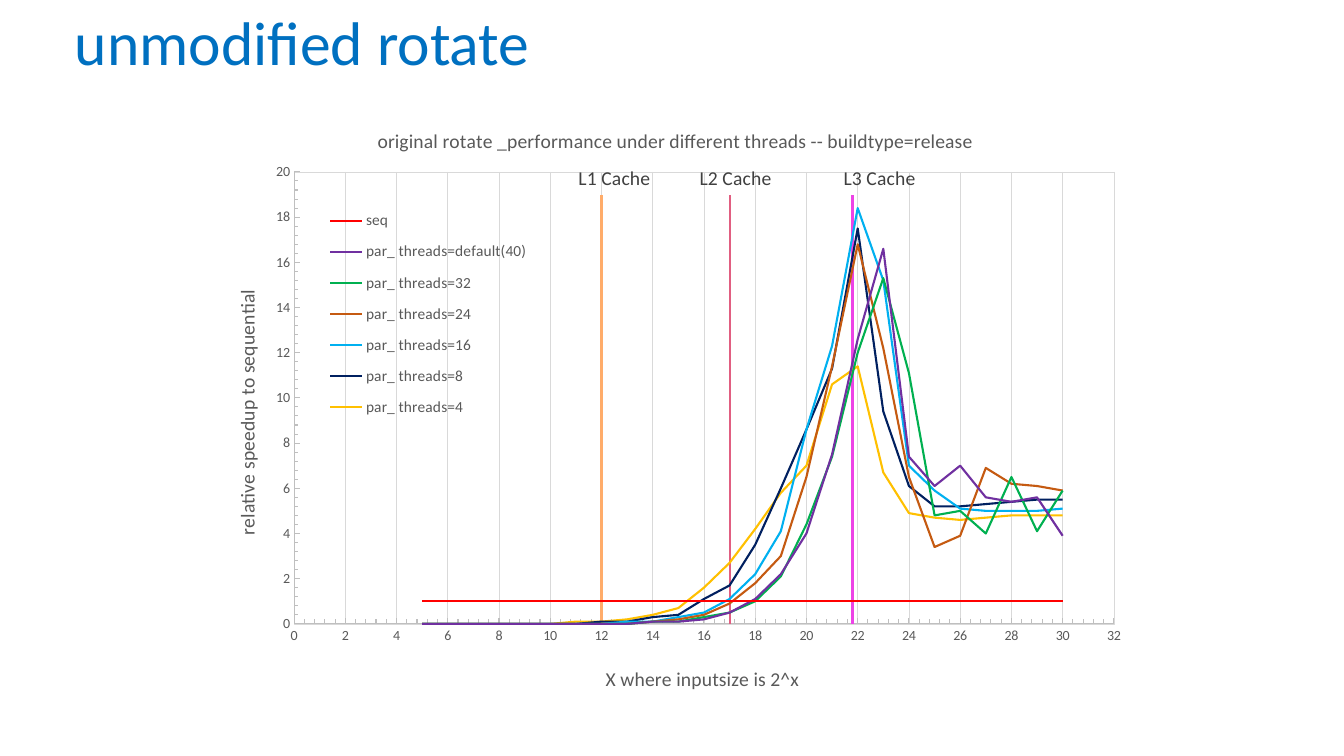
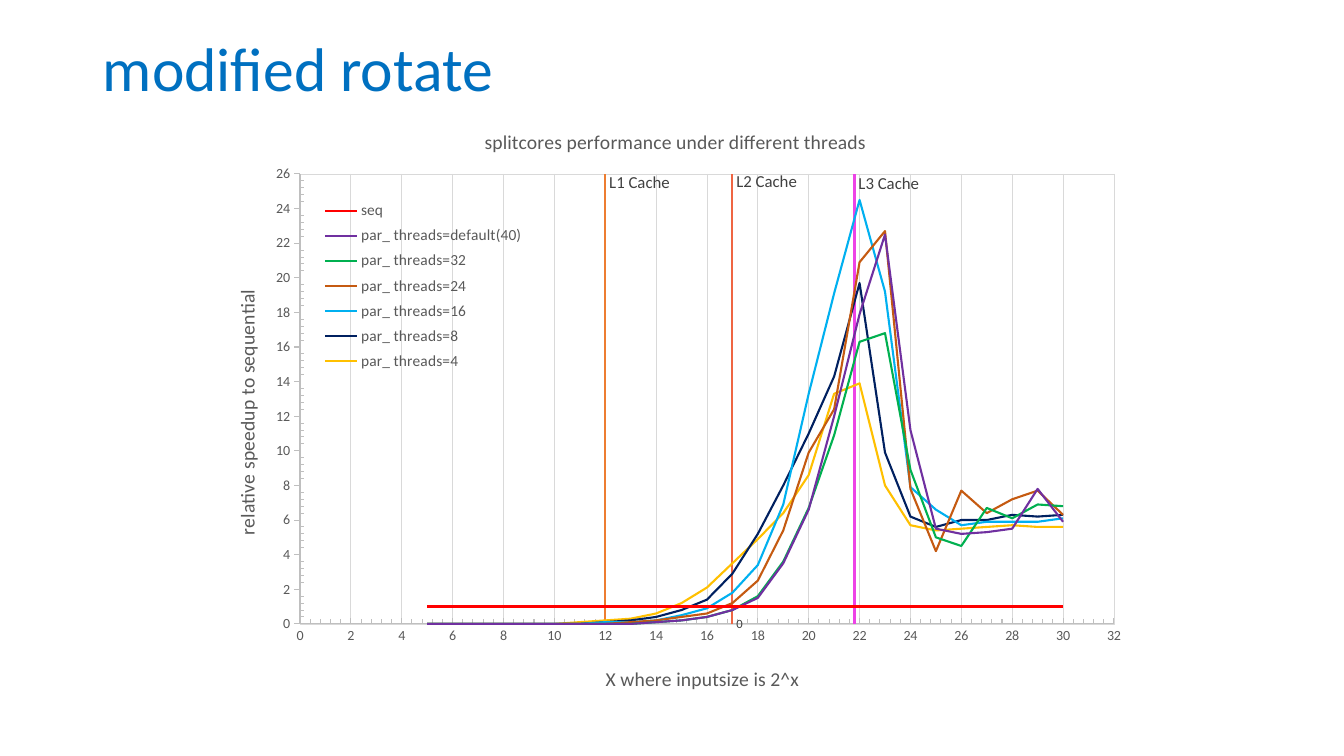
from lxml import etree
from pptx import Presentation
from pptx.chart.data import XyChartData
from pptx.dml.color import RGBColor
from pptx.enum.chart import XL_CHART_TYPE, XL_LABEL_POSITION, XL_LEGEND_POSITION, XL_TICK_MARK
from pptx.enum.text import MSO_ANCHOR
from pptx.oxml import parse_xml
from pptx.oxml.ns import nsdecls, qn
from pptx.util import Emu, Pt

SCATTER = XL_CHART_TYPE.XY_SCATTER_LINES_NO_MARKERS
ABOVE, RIGHT = XL_LABEL_POSITION.ABOVE, XL_LABEL_POSITION.RIGHT
LEGEND_LEFT = XL_LEGEND_POSITION.LEFT
INSIDE, OUTSIDE = XL_TICK_MARK.INSIDE, XL_TICK_MARK.OUTSIDE
MIDDLE = MSO_ANCHOR.MIDDLE

FONT = "Calibri"
COLORS = {
    "title": "0070C0", "text": "595959", "label": "404040",
    "axis": "BFBFBF", "grid": "D9D9D9",
    "seq": "FF0000", "par_ threads=default(40)": "7030A0",
    "par_ threads=32": "00B050", "par_ threads=24": "C55A11",
    "par_ threads=16": "00B0F0", "par_ threads=8": "002060",
    "par_ threads=4": "FFC000",
}

# Lengths are pixels, 100.8 to the inch
SCALE = 914400 / 100.8
SLIDE = (1344, 756)
CHART = (204, 101, 935, 608)
TITLE_SIZE = (1159, 92)

INPUT_SIZES = range(5, 31)
CACHES = [("L1 Cache", 12), ("L2 Cache", 17), ("L3 Cache", 21.8)]

# Speedups start with zeros, which are filled in from the left
UNMODIFIED = {
    "par_ threads=default(40)": [0.1, 0.1, 0.2, 0.5, 1.1, 2.2, 4, 7.5, 12.6, 16.6,
                                 7.4, 6.1, 7, 5.6, 5.4, 5.6, 3.9],
    "par_ threads=32": [0.1, 0.1, 0.3, 0.5, 1, 2.1, 4.4, 7.4, 12, 15.3,
                        11.1, 4.8, 5, 4, 6.5, 4.1, 5.9],
    "par_ threads=24": [0.1, 0.2, 0.4, 0.9, 1.8, 3, 6.5, 11.4, 16.8, 12.2,
                        6.5, 3.4, 3.9, 6.9, 6.2, 6.1, 5.9],
    "par_ threads=16": [0.1, 0.1, 0.3, 0.5, 1.1, 2.2, 4.1, 8.6, 12.3, 18.4, 15.2,
                        7, 5.9, 5.1, 5, 5, 5, 5.1],
    "par_ threads=8": [0.1, 0.1, 0.3, 0.4, 1.1, 1.7, 3.5, 6, 8.6, 11.3, 17.5, 9.4,
                       6.1, 5.2, 5.2, 5.3, 5.4, 5.5, 5.5],
    "par_ threads=4": [0.1, 0.1, 0.2, 0.4, 0.7, 1.6, 2.7, 4.2, 5.8, 7, 10.6, 11.4, 6.7,
                       4.9, 4.7, 4.6, 4.7, 4.8, 4.8, 4.8],
}
MODIFIED = {
    "par_ threads=default(40)": [0.1, 0.2, 0.4, 0.8, 1.5, 3.5, 6.6, 12, 17.9, 22.5,
                                 11.2, 5.5, 5.2, 5.3, 5.5, 7.8, 5.9],
    "par_ threads=32": [0.1, 0.2, 0.4, 0.8, 1.6, 3.6, 6.7, 10.9, 16.3, 16.8,
                        8.9, 5, 4.5, 6.7, 6.1, 6.9, 6.8],
    "par_ threads=24": [0.1, 0.2, 0.4, 0.6, 1.2, 2.5, 5.4, 9.9, 12.4, 20.9, 22.7,
                        7.8, 4.2, 7.7, 6.4, 7.2, 7.7, 6.3],
    "par_ threads=16": [0.1, 0.1, 0.2, 0.5, 0.9, 1.8, 3.4, 6.9, 13.3, 19.1, 24.5, 19.2,
                        7.9, 6.6, 5.7, 5.9, 5.9, 5.9, 6.1],
    "par_ threads=8": [0.1, 0.2, 0.4, 0.8, 1.4, 2.9, 5.2, 8, 11, 14.3, 19.7, 9.9,
                       6.2, 5.6, 6, 6, 6.3, 6.2, 6.3],
    "par_ threads=4": [0.1, 0.2, 0.3, 0.6, 1.2, 2.1, 3.5, 4.9, 6.4, 8.6, 13.3, 13.9, 8,
                       5.7, 5.4, 5.5, 5.6, 5.7, 5.6, 5.6],
}


def px(n):
    return Emu(round(n * SCALE))


def rgb(name):
    return RGBColor.from_string(COLORS.get(name, name))


def style_font(font, size, color):
    font.name, font.size, font.bold = FONT, Pt(size), False
    font.color.rgb = rgb(color)


def style_line(line, color, width):
    line.color.rgb = rgb(color)
    line.width = Pt(width)


def write(tf, text, size=14, color="text", spacing=None):
    p = tf.paragraphs[0]
    if spacing:
        p.line_spacing = spacing
    r = p.add_run()
    r.text = text
    style_font(r.font, size, color)


def add_title(s, text, left, top):
    tf = s.shapes.add_textbox(px(left), px(top), *map(px, TITLE_SIZE)).text_frame
    tf.word_wrap = True
    tf.vertical_anchor = MIDDLE
    write(tf, text, size=44, color="title", spacing=0.9)


# Manual layout of chart parts, as fractions of the chart
def set_layout(parent, index, inner=False, edge=True, **lengths):
    for old in parent.findall(qn("c:layout")):
        parent.remove(old)
    layout = parse_xml(f"<c:layout {nsdecls('c')}><c:manualLayout/></c:layout>")
    manual = layout[0]

    def add(tag, val):
        etree.SubElement(manual, qn(f"c:{tag}")).set("val", str(val))

    if inner:
        add("layoutTarget", "inner")
    if edge:
        add("xMode", "edge")
        add("yMode", "edge")
    left, top, width, height = CHART
    starts = {"x": left, "y": top} if edge else {}
    totals = {"x": width, "y": height, "w": width, "h": height}
    for key, n in lengths.items():
        add(key, round((n - starts.get(key, 0)) / totals[key], 4))
    parent.insert(index, layout)


def set_chart_title(owner, text, left, top, vertical=False):
    owner.has_title = True
    title = owner.chart_title if hasattr(owner, "chart_title") else owner.axis_title
    tf = title.text_frame
    write(tf, text)
    if vertical:
        body = title._element.find(".//" + qn("a:bodyPr"))
        body.set("rot", "-5400000")
        body.set("vert", "horz")
    set_layout(title._element, 1, x=left, y=top)


def style_axis(axis, top, tick):
    axis.minimum_scale, axis.maximum_scale, axis.major_unit = 0, top, 2
    axis.major_tick_mark, axis.minor_tick_mark = tick, INSIDE
    style_font(axis.tick_labels.font, 10, "text")
    style_line(axis.format.line, "axis", 0.75)


def add_legend(chart, box):
    chart.has_legend = True
    legend = chart.legend
    legend.position = LEGEND_LEFT
    legend.include_in_layout = True
    style_font(legend.font, 11, "text")
    left, top, width, height = box
    el = legend._element
    set_layout(el, 1, x=left, y=top, w=width, h=height)
    # Cache lines stay out of the legend
    series_count = len(chart.plots[0].series)
    for n, i in enumerate(range(series_count - len(CACHES), series_count)):
        el.insert(1 + n, parse_xml(
            f"<c:legendEntry {nsdecls('c')}><c:idx val='{i}'/><c:delete val='1'/></c:legendEntry>"))


def label_cache(series, text, size, position, shift, zero):
    label = series.points[1].data_label
    write(label.text_frame, text, size=size, color="label")
    label.position = position
    dx, dy = shift
    set_layout(label._dLbl, 1, edge=False, x=dx, y=dy)
    if zero:
        base = series.points[0].data_label
        style_font(base.font, 9, "label")
        base.position = RIGHT
    for show in series._element.findall(f"{qn('c:dLbls')}/{qn('c:showVal')}"):
        show.set("val", "0")


def outline(color=None):
    fill = f"<a:solidFill><a:srgbClr val='{COLORS[color]}'/></a:solidFill>" if color else "<a:noFill/>"
    return parse_xml(f"<c:spPr {nsdecls('c', 'a')}><a:noFill/><a:ln w='6350'>{fill}</a:ln></c:spPr>")


def add_speedup_chart(s, title, title_at, speedups, top, y_tick, plot_box, legend_box,
                      cache_top, cache_colors, label_size, label_position, label_shifts,
                      zero_at=None):
    data = XyChartData()
    rows = {"seq": [1] * len(INPUT_SIZES), **speedups}
    for name, values in rows.items():
        series = data.add_series(name)
        zeros = [0] * (len(INPUT_SIZES) - len(values))
        for x, y in zip(INPUT_SIZES, zeros + values):
            series.add_data_point(x, y)
    for n, (_, x) in enumerate(CACHES, len(rows) + 1):
        series = data.add_series(f"Series {n}")
        for y in (0, cache_top):
            series.add_data_point(x, y)

    chart = s.shapes.add_chart(SCATTER, *map(px, CHART), data).chart
    chart.font.name, chart.font.size = FONT, Pt(10)
    plot = chart.plots[0]
    plot.vary_by_categories = False

    # Lines
    for series, color in zip(plot.series, [*rows, *cache_colors]):
        series.smooth = False
        style_line(series.format.line, color, 1.5)
    caches = list(plot.series)[len(rows):]
    for series, (name, _), shift in zip(caches, CACHES, label_shifts):
        label_cache(series, name, label_size, label_position, shift, name == zero_at)

    # Axes
    x_axis, y_axis = chart.category_axis, chart.value_axis
    style_axis(x_axis, 32, INSIDE)
    style_axis(y_axis, top, y_tick)
    y_axis.has_major_gridlines = False
    x_axis.has_major_gridlines = True
    style_line(x_axis.major_gridlines.format.line, "grid", 0.5)

    # Titles and legend
    set_chart_title(chart, title, *title_at)
    set_chart_title(x_axis, "X where inputsize is 2^x", 602, 662)
    set_chart_title(y_axis, "relative speedup to sequential", 230, 286, vertical=True)
    add_legend(chart, legend_box)

    # Plot area and frame
    chart_el = chart._chartSpace.find(qn("c:chart"))
    area = chart_el.find(qn("c:plotArea"))
    left, y, width, height = plot_box
    set_layout(area, 0, inner=True, x=left, y=y, w=width, h=height)
    area.append(outline("grid"))
    chart_el.addnext(outline())


def main():
    prs = Presentation()
    prs.slide_width, prs.slide_height = map(px, SLIDE)
    blank = prs.slide_layouts[6]

    s = prs.slides.add_slide(blank)
    add_title(s, "unmodified rotate", 65, 0)
    add_speedup_chart(
        s, "original rotate _performance under different threads -- buildtype=release",
        (374, 124), UNMODIFIED, top=20, y_tick=INSIDE,
        plot_box=(294, 172, 820, 452), legend_box=(322, 199, 213, 230),
        cache_top=19, cache_colors=["FFAC6A", "E15E81", "ED43E6"],
        label_size=14, label_position=ABOVE, label_shifts=[(13, 0), (6, 0), (27, 0)])

    s = prs.slides.add_slide(blank)
    add_title(s, "modified rotate", 93, 26)
    add_speedup_chart(
        s, "splitcores performance under different threads",
        (481, 125), MODIFIED, top=26, y_tick=OUTSIDE,
        plot_box=(300, 174, 814, 450), legend_box=(317, 195, 213, 182),
        cache_top=26, cache_colors=["ED7D31", "EF6543", "ED43E6"],
        label_size=12, label_position=RIGHT, label_shifts=[(0, 9), (0, 8), (0, 10)],
        zero_at="L2 Cache")

    prs.save("out.pptx")


main()
